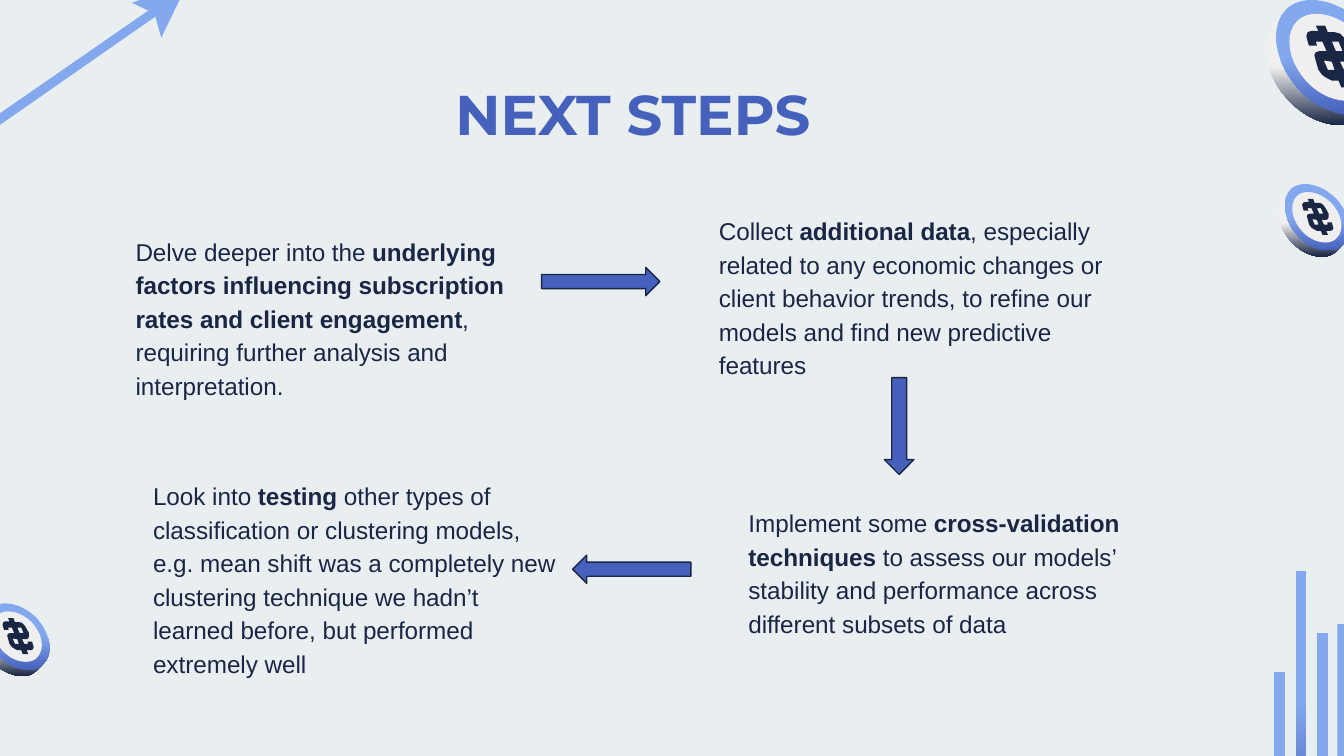
"""Build the Next Steps slide with a four-step flow, coins, bars and a rising arrow."""
from pptx import Presentation
from pptx.dml.color import RGBColor
from pptx.enum.shapes import MSO_SHAPE
from pptx.util import Inches, Pt

RECTANGLE = MSO_SHAPE.RECTANGLE
RIGHT_ARROW = MSO_SHAPE.RIGHT_ARROW
COLORS = {
    "background": "E9EEF1",
    "light_blue": "83A8ED",
    "blue": "4661BC",
    "navy": "1A2644",
    "silver": "EFEFEF",
}


def paint(shape, color, end_color=None):
    shape.shadow.inherit = False
    shape.line.fill.background()
    if end_color is None:
        shape.fill.solid()
        shape.fill.fore_color.rgb = RGBColor.from_string(COLORS[color])
        return
    shape.fill.gradient()
    shape.fill.gradient_angle = 270
    for stop, name, position in zip(shape.fill.gradient_stops, (color, end_color), (0.5, 1)):
        stop.color.rgb = RGBColor.from_string(COLORS[name])
        stop.position = position


def add_outline(contours, color, end_color=None, left=0, top=0, scale=1):
    placed = [[(Inches(left + x * scale), Inches(top + y * scale)) for x, y in contour]
              for contour in contours]
    builder = slide.shapes.build_freeform(*placed[0][0])
    builder.add_line_segments(placed[0][1:])
    for contour in placed[1:]:
        builder.move_to(*contour[0])
        builder.add_line_segments(contour[1:])
    paint(builder.convert_to_shape(), color, end_color)


presentation = Presentation()
presentation.slide_width = Inches(10)
presentation.slide_height = Inches(10 * 9 / 16)
slide = presentation.slides.add_slide(presentation.slide_layouts[6])
slide.background.fill.solid()
slide.background.fill.fore_color.rgb = RGBColor.from_string(COLORS["background"])

bars = [(9.64, 4.25, 1.92), (9.48, 5, 1.98), (9.8, 4.71, 2.32), (9.95, 4.64, 2)]
for left, top, height in bars:
    bar = slide.shapes.add_shape(RECTANGLE, Inches(left), Inches(top), Inches(0.08), Inches(height))
    paint(bar, "light_blue", "blue")

rim_curves = [
    ((0.33, 0), (0.26, 0.02), (0.21, 0.07)),
    ((0.08, 0.2), (0.12, 0.46), (0.3, 0.66)),
    ((0.42, 0.79), (0.57, 0.85), (0.69, 0.85)),
    ((0.77, 0.85), (0.83, 0.83), (0.88, 0.78)),
    ((1.02, 0.65), (0.98, 0.39), (0.8, 0.19)),
    ((0.68, 0.07), (0.53, 0), (0.4, 0)),
]
CURVE_STEPS = 10
rim = [(0.4, 0)]
for control_1, control_2, end in rim_curves:
    start = rim[-1]
    for step in range(1, CURVE_STEPS + 1):
        t = step / CURVE_STEPS
        rim.append(tuple(
            (1 - t) ** 3 * a + 3 * t * (1 - t) ** 2 * b + 3 * t ** 2 * (1 - t) * c + t ** 3 * d
            for a, b, c, d in zip(start, control_1, control_2, end)))
lower_rim = rim[CURVE_STEPS:4 * CURVE_STEPS + 1]
side = [lower_rim[0]] + [(x - 0.08, y + 0.08) for x, y in lower_rim] + [lower_rim[-1]]
face = [(0.55 + (x - 0.55) * 0.76, 0.43 + (y - 0.43) * 0.76) for x, y in rim]
currency_sign = [
    [(0.43, 0.19), (0.45, 0.23), (0.4, 0.23), (0.37, 0.24), (0.36, 0.27), (0.37, 0.31),
     (0.38, 0.34), (0.44, 0.34), (0.43, 0.31), (0.48, 0.31), (0.51, 0.38), (0.46, 0.38),
     (0.43, 0.39), (0.42, 0.41), (0.43, 0.45), (0.45, 0.52), (0.48, 0.56), (0.51, 0.58),
     (0.55, 0.6), (0.6, 0.6), (0.62, 0.65), (0.69, 0.65), (0.67, 0.6), (0.72, 0.6),
     (0.75, 0.59), (0.76, 0.56), (0.75, 0.53), (0.74, 0.49), (0.68, 0.49), (0.69, 0.52),
     (0.64, 0.52), (0.61, 0.46), (0.66, 0.46), (0.69, 0.45), (0.7, 0.42), (0.7, 0.38),
     (0.66, 0.31), (0.64, 0.28), (0.61, 0.25), (0.57, 0.24), (0.52, 0.24), (0.5, 0.19)],
    [(0.55, 0.31), (0.6, 0.31), (0.63, 0.38), (0.58, 0.38)],
    [(0.49, 0.45), (0.55, 0.46), (0.57, 0.52), (0.52, 0.52)],
]
for left, top, scale in [(9.36, 0, 1), (9.48, 1.37, 0.58), (-0.19, 4.49, 0.58)]:
    add_outline([side], "silver", "navy", left, top, scale)
    add_outline([rim], "light_blue", "blue", left, top, scale)
    add_outline([face], "silver", None, left, top, scale)
    add_outline(currency_sign, "navy", None, left, top, scale)

arrow_shaft = [(1.16, 0.04), (-0.79, 1.39), (-1.3, 1.15), (-3.6, 2.72), (-3.6, 2.81),
               (-1.29, 1.24), (-0.79, 1.48), (1.19, 0.1)]
arrow_tip = [(1.39, -0.11), (0.98, 0.02), (1.15, 0.1), (1.2, 0.28)]
for outline in (arrow_shaft, arrow_tip):
    add_outline([outline], "light_blue")

title = ((3.29, 0.49, 3.65, 0.63), "Montserrat", 30, "blue", 1, 0, [("NEXT STEPS", True)])
steps = [
    ((0.91, 1.63, 3.05, 1.43), "Delve deeper into the ",
     "underlying factors influencing subscription rates and client engagement",
     ", requiring further analysis and interpretation."),
    ((5.25, 1.48, 3.15, 1.43), "Collect ", "additional data",
     ", especially related to any economic changes or client behavior trends, "
     "to refine our models and find new predictive features"),
    ((5.47, 3.65, 3.28, 1.18), "Implement some ", "cross-validation techniques",
     " to assess our models’ stability and performance across different subsets of data"),
    ((1.04, 3.45, 3.22, 1.68), "Look into ", "testing",
     " other types of classification or clustering models, e.g. mean shift was a completely new "
     "clustering technique we hadn’t learned before, but performed extremely well"),
]
texts = [title] + [
    (box, "Arial", 13, "navy", 1.15, 10, [(before, False), (key, True), (after, False)])
    for box, before, key, after in steps]
for box, font_name, size, color, line_spacing, space_after, runs in texts:
    text_box = slide.shapes.add_textbox(*map(Inches, box))
    frame = text_box.text_frame
    frame.word_wrap = True
    frame.margin_left = frame.margin_right = Inches(0.1)
    frame.margin_top = frame.margin_bottom = Inches(0.1)
    paragraph = frame.paragraphs[0]
    paragraph.line_spacing = line_spacing
    paragraph.space_after = Pt(space_after)
    paragraph.font.name = font_name
    paragraph.font.size = Pt(size)
    paragraph.font.color.rgb = RGBColor.from_string(COLORS[color])
    for text, bold in runs:
        run = paragraph.add_run()
        run.text = text
        run.font.bold = bold

flow_arrows = [(4.03, 1.99, 0.88, 0.21, 0), (6.33, 3.06, 0.72, 0.22, 90), (4.26, 4.13, 0.88, 0.21, 180)]
for left, top, width, height, rotation in flow_arrows:
    arrow = slide.shapes.add_shape(
        RIGHT_ARROW, Inches(left), Inches(top), Inches(width), Inches(height))
    arrow.rotation = rotation
    paint(arrow, "blue")
    arrow.line.color.rgb = RGBColor.from_string(COLORS["navy"])
    arrow.line.width = Pt(0.75)

presentation.save("out.pptx")
